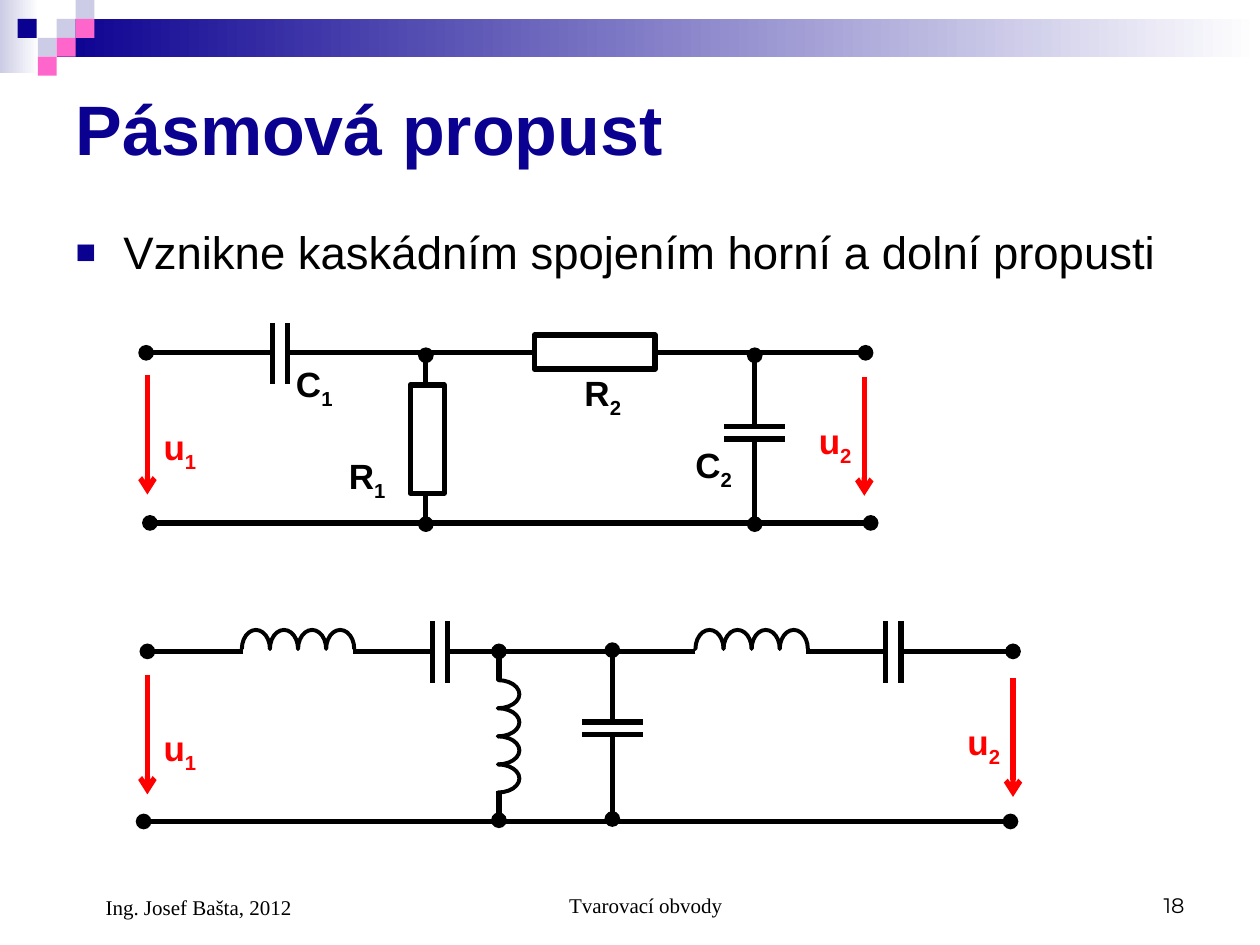
from dataclasses import dataclass

from lxml.etree import SubElement
from pptx import Presentation
from pptx.dml.color import RGBColor
from pptx.enum.shapes import MSO_CONNECTOR, MSO_SHAPE
from pptx.enum.text import MSO_ANCHOR, MSO_AUTO_SIZE, PP_ALIGN
from pptx.oxml.ns import qn
from pptx.util import Inches, Pt


@dataclass(frozen=True)
class Theme:
    navy: str = "0B0191"
    lavender: str = "CCCCE6"
    pink: str = "FF66CC"
    white: str = "FFFFFF"
    black: str = "000000"
    signal: str = "FF0000"
    coil: str = "CBBDFF"
    sans: str = "Arial"
    serif: str = "Times New Roman"
    number: str = "Montserrat"
    title_size: int = 40
    body_size: int = 26
    label_size: int = 20
    footer_size: int = 12
    wire: float = 3
    winding: float = 2.25


THEME = Theme()
SLIDE_WIDTH = Inches(10)
SLIDE_HEIGHT = Inches(7.5)
GRID_COLUMNS = 100
GRID_ROWS = 75
PLATE = 4.85
COIL_PITCH = 2.23


def column(count):
    return round(SLIDE_WIDTH * count / GRID_COLUMNS)


def row(count):
    return round(SLIDE_HEIGHT * count / GRID_ROWS)


def frame(left, top, width, height):
    return column(left), row(top), column(width), row(height)


def color(value):
    return RGBColor.from_string(value)


def add_span(para, text, font, size, tint, bold=False, baseline=0):
    span = para.add_run()
    span.text = text
    span.font.name = font
    span.font.size = Pt(size)
    span.font.bold = bold
    span.font.color.rgb = color(tint)
    if baseline:
        span._r.get_or_add_rPr().set("baseline", str(baseline))


def add_textbox(shapes, place, anchor=MSO_ANCHOR.TOP):
    box = shapes.add_textbox(*frame(*place))
    box.text_frame.word_wrap = True
    box.text_frame.vertical_anchor = anchor
    return box.text_frame.paragraphs[0]


def add_label(shapes, place, letter, index, tint=THEME.black):
    para = add_textbox(shapes, place)
    add_span(para, letter, THEME.sans, THEME.label_size, tint, True)
    add_span(para, index, THEME.sans, THEME.label_size, tint, True, -25000)


def add_footer(shapes, place, text, font, align, indent=0.0):
    para = add_textbox(shapes, place, MSO_ANCHOR.BOTTOM)
    para._p.get_or_add_pPr().set("marL", str(Inches(indent)))
    para.alignment = align
    add_span(para, text, font, THEME.footer_size, THEME.black)


def add_block(shapes, kind, place, fill=None, line=None, width=0):
    block = shapes.add_shape(kind, *frame(*place))
    block.shadow.inherit = False
    if fill:
        block.fill.solid()
        block.fill.fore_color.rgb = color(fill)
    else:
        block.fill.background()
    if line:
        block.line.color.rgb = color(line)
        block.line.width = Pt(width)
    else:
        block.line.fill.background()
    return block


def add_fade(shapes, place, tint):
    band = add_block(shapes, MSO_SHAPE.RECTANGLE, place)
    band.fill.gradient()
    band.fill.gradient_angle = 180
    for stop, shade, position in zip(band.fill.gradient_stops, (THEME.white, tint), (0, 1)):
        stop.color.rgb = color(shade)
        stop.position = position


def add_wire(shapes, start, end, head=None, tail=None, tint=THEME.black):
    wire = shapes.add_connector(MSO_CONNECTOR.STRAIGHT, column(start[0]), row(start[1]),
                                column(end[0]), row(end[1]))
    wire.line.color.rgb = color(tint)
    wire.line.width = Pt(THEME.wire)
    outline = wire.line._get_or_add_ln()
    for tag, kind in (("a:headEnd", head), ("a:tailEnd", tail)):
        if kind:
            SubElement(outline, qn(tag), type=kind)
    SubElement(wire._element.spPr, qn("a:effectLst"))


def add_capacitor(shapes, x, y, flat=False):
    half = PLATE / 2
    for offset in (-0.5, 0.5) if flat else (-0.6, 0.6):
        if flat:
            add_wire(shapes, (x - half, y + offset), (x + half, y + offset))
        else:
            add_wire(shapes, (x + offset, y - half), (x + offset, y + half))


def add_resistor(shapes, place, rotation=0):
    body = add_block(shapes, MSO_SHAPE.RECTANGLE, place, line=THEME.black, width=THEME.wire)
    body.rotation = rotation


def add_inductor(shapes, left, top, height, upright=False):
    for turn in range(4):
        shift = turn * COIL_PITCH
        place = (left, top + shift) if upright else (left + shift, top)
        arc = add_block(shapes, MSO_SHAPE.BLOCK_ARC, (*place, COIL_PITCH, height),
                        THEME.coil, THEME.black, THEME.winding)
        for position, value in enumerate((107.89, 0.11, 0)):
            arc.adjustments[position] = value
        arc.rotation = 90 if upright else 0


def add_voltage(shapes, x, top, label_place, index):
    add_wire(shapes, (x, top), (x, top + 9.45), tail="arrow", tint=THEME.signal)
    add_label(shapes, label_place, "u", index, THEME.signal)


def draw_decoration(shapes):
    add_fade(shapes, (0, 0, 3.1, 5.8), THEME.lavender)
    add_fade(shapes, (4.5, 1.5, 95.5, 3), THEME.navy)
    tiles = {
        THEME.lavender: [(4.5, 1.5), (6, 0), (3, 3)],
        THEME.pink: [(6, 1.5), (4.5, 3), (3, 4.5)],
        THEME.navy: [(1.4, 1.5)],
    }
    for tint, corners in tiles.items():
        for corner in corners:
            add_block(shapes, MSO_SHAPE.RECTANGLE, (*corner, 1.5, 1.5), tint)


def draw_rc_circuit(shapes):
    top, bottom = 28, 41.5
    add_wire(shapes, (21.5, top), (11.6, top), tail="oval")
    add_capacitor(shapes, 22.2, 28.05)
    add_wire(shapes, (42.6, top), (22.9, top))
    add_resistor(shapes, (42.4, 26.6, 9.6, 2.7))
    add_wire(shapes, (68.7, top), (52, top), head="oval")
    add_wire(shapes, (69.1, bottom), (11.9, bottom), "oval", "oval")
    add_wire(shapes, (33.8, 41.6), (33.8, 39), head="oval")
    add_resistor(shapes, (29.6, 33.5, 8.6, 2.7), 90)
    add_wire(shapes, (33.8, 30.5), (33.8, 28.2), tail="oval")
    add_wire(shapes, (59.9, 41.6), (59.9, 34.9), head="oval")
    add_capacitor(shapes, 59.9, 34.35, True)
    add_wire(shapes, (59.9, 33.7), (59.9, 28.2), tail="oval")
    add_label(shapes, (22.5, 28.3, 6.8, 4.8), "C", "1")
    add_label(shapes, (26.7, 35.6, 5.2, 4.8), "R", "1")
    add_label(shapes, (45.4, 29, 5.9, 4.8), "R", "2")
    add_label(shapes, (54.2, 34.7, 5.9, 4.8), "C", "2")
    add_voltage(shapes, 11.7, 29.8, (12, 33.3, 5.4, 4.8), "1")
    add_voltage(shapes, 68.6, 29.9, (64, 32.8, 5.6, 4.8), "2")


def draw_lc_circuit(shapes):
    top, bottom = 51.7, 65.2
    add_wire(shapes, (19.3, top), (11.7, top), tail="oval")
    add_wire(shapes, (80.4, top), (71.3, top), head="oval")
    add_wire(shapes, (55.2, top), (35.4, top))
    add_wire(shapes, (80.2, bottom), (11.4, bottom), "oval", "oval")
    for left in (19.2, 55.2):
        add_inductor(shapes, left, 50, 3)
        add_wire(shapes, (left + 15, top), (left + 8.8, top))
        add_capacitor(shapes, left + 15.7, 51.75)
    add_wire(shapes, (39.6, 65.1), (39.6, 62.8), head="oval")
    add_inductor(shapes, 38.4, 53.4, 3.4, True)
    add_wire(shapes, (39.6, 54), (39.6, top), tail="oval")
    add_wire(shapes, (48.6, 65), (48.6, 58.4), head="oval")
    add_capacitor(shapes, 48.6, 57.8, True)
    add_wire(shapes, (48.6, 57.1), (48.6, 51.6), tail="oval")
    add_voltage(shapes, 11.7, 53.6, (12, 57.2, 5.4, 4.8), "1")
    add_voltage(shapes, 80.4, 53.8, (75.8, 56.7, 5.6, 4.8), "2")


def fill_placeholder(holder, place, text, size, tint, bold=False, bullet=False):
    holder.left, holder.top, holder.width, holder.height = frame(*place)
    holder.text_frame.auto_size = MSO_AUTO_SIZE.NONE
    para = holder.text_frame.paragraphs[0]
    para.alignment = PP_ALIGN.LEFT
    para.space_before = Pt(0)
    if bullet:
        props = para._p.get_or_add_pPr()
        props.set("marL", str(Inches(0.38)))
        props.set("indent", str(Inches(-0.38)))
        SubElement(SubElement(props, qn("a:buClr")), qn("a:srgbClr"), val=THEME.navy)
        SubElement(props, qn("a:buSzPct"), val="75000")
        SubElement(props, qn("a:buFont"), typeface=THEME.sans)
        SubElement(props, qn("a:buChar"), char="■")
    add_span(para, text, THEME.sans, size, tint, bold)


def main():
    deck = Presentation()
    deck.slide_width, deck.slide_height = SLIDE_WIDTH, SLIDE_HEIGHT
    page = deck.slides.add_slide(deck.slide_layouts[1])
    fill_placeholder(page.shapes.title, (5, 5, 90, 10.3), "Pásmová propust",
                     THEME.title_size, THEME.navy, bold=True)
    fill_placeholder(page.placeholders[1], (5, 17.3, 90, 7.5),
                     "Vznikne kaskádním spojením horní a dolní propusti",
                     THEME.body_size, THEME.black, bullet=True)
    for draw in (draw_decoration, draw_rc_circuit, draw_lc_circuit):
        draw(page.shapes.add_group_shape().shapes)
    add_footer(page.shapes, (34.2, 68.3, 31.7, 5), "Tvarovací obvody",
               THEME.serif, PP_ALIGN.CENTER, 0.24)
    add_footer(page.shapes, (71.7, 68.3, 23.3, 5), "18", THEME.number, PP_ALIGN.RIGHT)
    add_footer(page.shapes, (5, 68.3, 23.3, 5.2), "Ing. Josef Bašta, 2012",
               THEME.serif, PP_ALIGN.LEFT, 0.24)
    deck.save("out.pptx")


if __name__ == "__main__":
    main()
